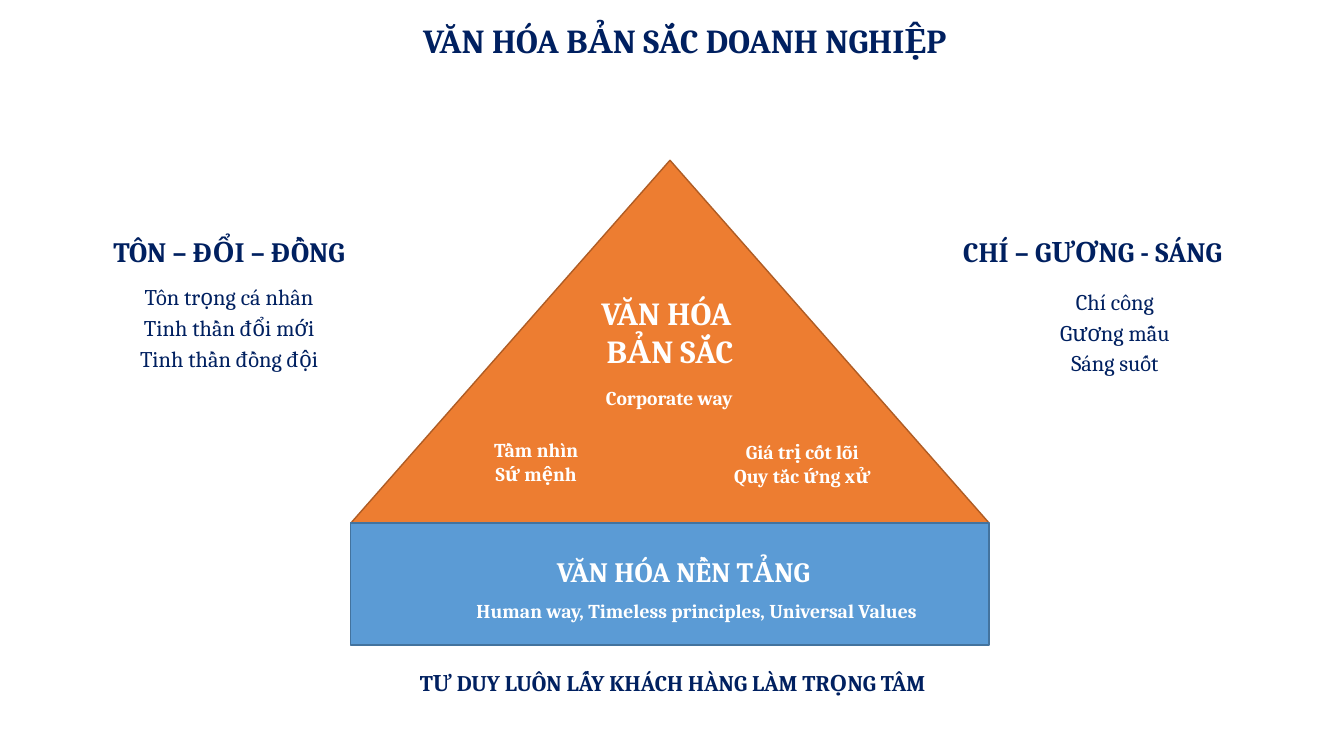
from pptx import Presentation
from pptx.dml.color import RGBColor
from pptx.enum.shapes import MSO_SHAPE
from pptx.enum.text import MSO_ANCHOR, MSO_AUTO_SIZE, PP_ALIGN
from pptx.util import Inches, Pt

COLORS = {
    "navy": "002060",
    "white": "FFFFFF",
    "orange": "ED7D31",
    "rust": "AF5C24",
    "blue": "5B9BD5",
    "steel": "43739E",
}
FONT = "Cambria"
WIDTH, HEIGHT = 13.33, 7.5


def color(name):
    return RGBColor.from_string(COLORS[name])


def write(box, text, size=14, ink="white", bold=True, align=PP_ALIGN.CENTER,
          spacing=None, inset=0.05):
    frame = box.text_frame
    frame.word_wrap = True
    frame.auto_size = MSO_AUTO_SIZE.NONE
    frame.vertical_anchor = MSO_ANCHOR.TOP
    frame.margin_left = frame.margin_right = Inches(0.1)
    frame.margin_top = frame.margin_bottom = Inches(inset)
    for index, line in enumerate(text.split("\n")):
        para = frame.add_paragraph() if index else frame.paragraphs[0]
        para.alignment = align
        if spacing:
            para.line_spacing = spacing
        span = para.add_run()
        span.text = line
        span.font.name = FONT
        span.font.size = Pt(size)
        span.font.bold = bold
        span.font.color.rgb = color(ink)


class PercentPage:
    def __init__(self, deck):
        self.page = deck.slides.add_slide(deck.slide_layouts[5])

    def place(self, left, top, width, height):
        return (Inches(WIDTH * left / 100), Inches(HEIGHT * top / 100),
                Inches(WIDTH * width / 100), Inches(HEIGHT * height / 100))

    def title(self, area, text, **style):
        box = self.page.shapes.title
        box.left, box.top, box.width, box.height = self.place(*area)
        write(box, text, **style)

    def text(self, area, text, **style):
        write(self.page.shapes.add_textbox(*self.place(*area)), text, **style)

    def block(self, kind, area, fill, line):
        shape = self.page.shapes.add_shape(kind, *self.place(*area))
        shape.shadow.inherit = False
        shape.fill.solid()
        shape.fill.fore_color.rgb = color(fill)
        shape.line.color.rgb = color(line)
        shape.line.width = Pt(1)


def main():
    deck = Presentation()
    deck.slide_width, deck.slide_height = Inches(WIDTH), Inches(HEIGHT)
    page = PercentPage(deck)

    page.title((27.5, 2, 46.9, 6.7), "VĂN HÓA BẢN SẮC DOANH NGHIỆP", size=24, ink="navy")

    left, width, base = 26.1, 47.5, 69.2
    page.block(MSO_SHAPE.ISOSCELES_TRIANGLE, (left, base - 48, width, 48), "orange", "rust")
    page.block(MSO_SHAPE.RECTANGLE, (left, base, width, 16.1), "blue", "steel")

    page.text((38.9, 38.1, 21.9, 11.7), "VĂN HÓA \nBẢN SẮC", size=23)
    page.text((42.8, 50.4, 14, 4.5), "Corporate way")
    page.text((32.9, 57.3, 14, 7.6), "Tầm nhìn\nSứ mệnh")
    page.text((52.7, 57.6, 14, 7.6), "Giá trị cốt lõi\nQuy tắc ứng xử")
    page.text((39.9, 72.7, 21.9, 5.9), "VĂN HÓA NỀN TẢNG", size=20)
    page.text((31.8, 78.5, 40.1, 4.5), "Human way, Timeless principles, Universal Values")
    page.text((30.5, 87.9, 40.7, 4.9), "TƯ DUY LUÔN LẤY KHÁCH HÀNG LÀM TRỌNG TÂM",
              size=16, ink="navy", align=PP_ALIGN.JUSTIFY)

    sides = [
        ((6.5, 30.4, 21.1, 5.9), "TÔN – ĐỔI – ĐỒNG",
         (8.3, 35.6, 17.5, 14.2), "Tôn trọng cá nhân\nTinh thần đổi mới\nTinh thần đồng đội"),
        ((69.5, 30.4, 23.6, 5.9), "CHÍ – GƯƠNG - SÁNG",
         (74.2, 36.2, 17.5, 14.2), "Chí công\nGương mẫu\nSáng suốt"),
    ]
    for heading_area, heading, values_area, values in sides:
        page.text(heading_area, heading, size=20, ink="navy")
        page.text(values_area, values, size=16, ink="navy", bold=False,
                  spacing=1.15, inset=0.1)

    deck.save("out.pptx")


if __name__ == "__main__":
    main()
